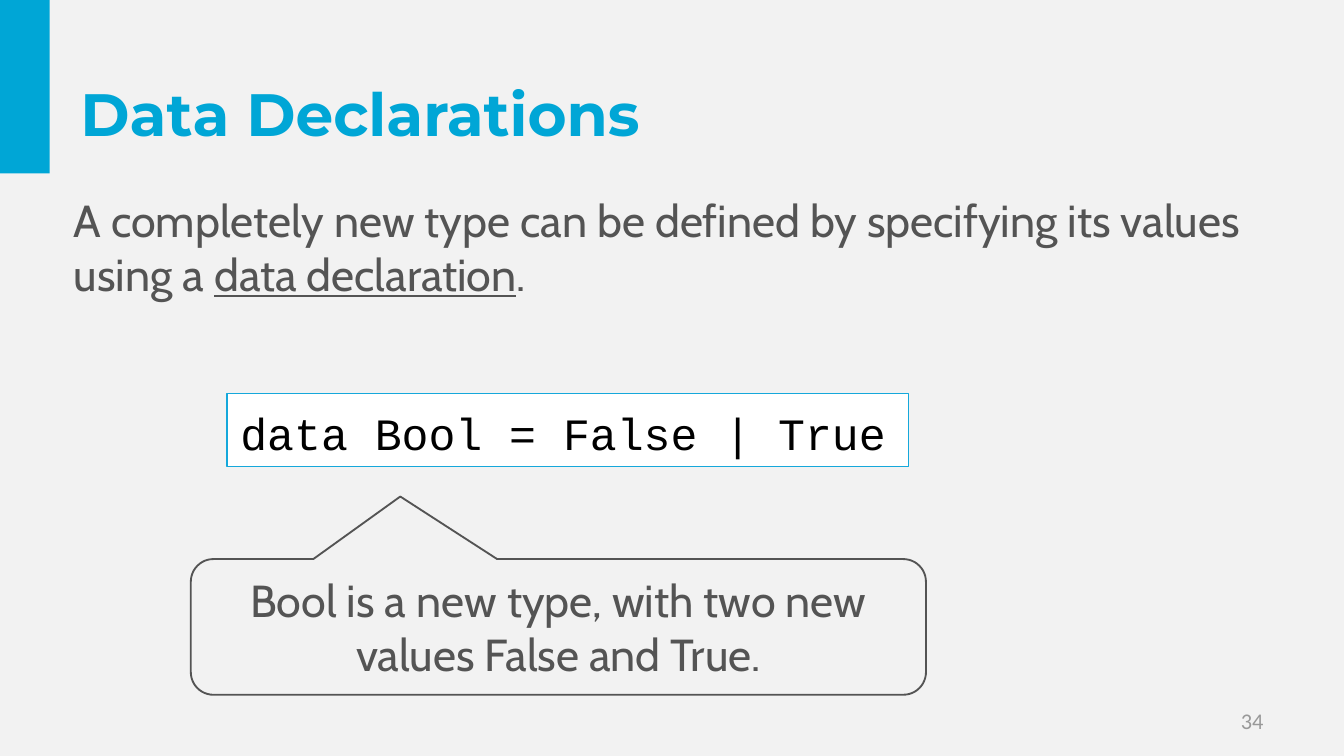
"""Build the slide on data declarations."""
import pptx
import pptx.util
from pptx.dml.color import RGBColor
from pptx.enum.shapes import MSO_SHAPE
from pptx.enum.text import MSO_ANCHOR, PP_ALIGN

WIDE = 10
HIGH = WIDE * 9 / 16
BLUE, GREY = "00A6D6", "545454"
TITLE = ["Data Declarations"]
BODY = ["A completely new type can be defined by specifying its values using a ",
        "data declaration", "."]
CODE = ["data Bool = False | True"]
NOTE = ["Bool is a new type, with two new values False and True."]
PAGE = ["34"]


def color(code):
    return RGBColor.from_string(code)


def place(box):
    return [pptx.util.Inches(n) for n in box]


def add_shape(slide, kind, box, fill=None, line=None, width=1):
    shape = slide.shapes.add_shape(kind, *place(box))
    shape.shadow.inherit = False
    if fill:
        shape.fill.solid()
        shape.fill.fore_color.rgb = color(fill)
    else:
        shape.fill.background()
    if line:
        shape.line.color.rgb = color(line)
        shape.line.width = pptx.util.Pt(width)
    else:
        shape.line.fill.background()
    return shape


def write(shape, parts, font, size, ink, align=PP_ALIGN.LEFT, wrap=True, bold=False):
    frame = shape.text_frame
    frame.word_wrap = wrap
    frame.vertical_anchor = MSO_ANCHOR.MIDDLE
    para = frame.paragraphs[0]
    para.alignment = align
    for part in parts:
        run = para.add_run()
        run.text = part
        run.font.name = font
        run.font.size = pptx.util.Pt(size)
        run.font.bold = bold
        run.font.color.rgb = color(ink)
    return para


def main():
    deck = pptx.Presentation()
    deck.slide_width, deck.slide_height = place((WIDE, HIGH))
    slide = deck.slides.add_slide(deck.slide_layouts[6])
    slide.background.fill.solid()
    slide.background.fill.fore_color.rgb = color("F2F2F2")

    add_shape(slide, MSO_SHAPE.RECTANGLE, (0, 0, 0.37, 1.29), BLUE)

    page = slide.shapes.add_textbox(*place((7.17, 5.21, 2.33, 0.3)))
    write(page, PAGE, "Calibri", 12, "999999", PP_ALIGN.RIGHT)

    title = slide.shapes.add_textbox(*place((0.5, 0.23, 9, 1.22)))
    write(title, TITLE, "Montserrat", 32, BLUE, bold=True)

    body = slide.shapes.add_textbox(*place((0.45, 1.38, 9.18, 0.91)))
    para = write(body, BODY, "Cabin", 24, GREY)
    para.runs[1].font.underline = True

    code = add_shape(slide, MSO_SHAPE.RECTANGLE, (1.69, 2.93, 5.07, 0.54),
                     "FFFFFF", "15A8DB", 0.75)
    para = write(code, CODE, "Courier New", 24, "000000", wrap=False)
    para.line_spacing = 1.1

    note = add_shape(slide, MSO_SHAPE.ROUNDED_RECTANGULAR_CALLOUT,
                     (1.42, 4.16, 5.47, 1.01), line=GREY)
    for i, value in enumerate((-0.215, -0.961, 0.167)):
        note.adjustments[i] = value
    write(note, NOTE, "Cabin", 24, GREY, PP_ALIGN.CENTER)

    deck.save("out.pptx")


if __name__ == "__main__":
    main()
